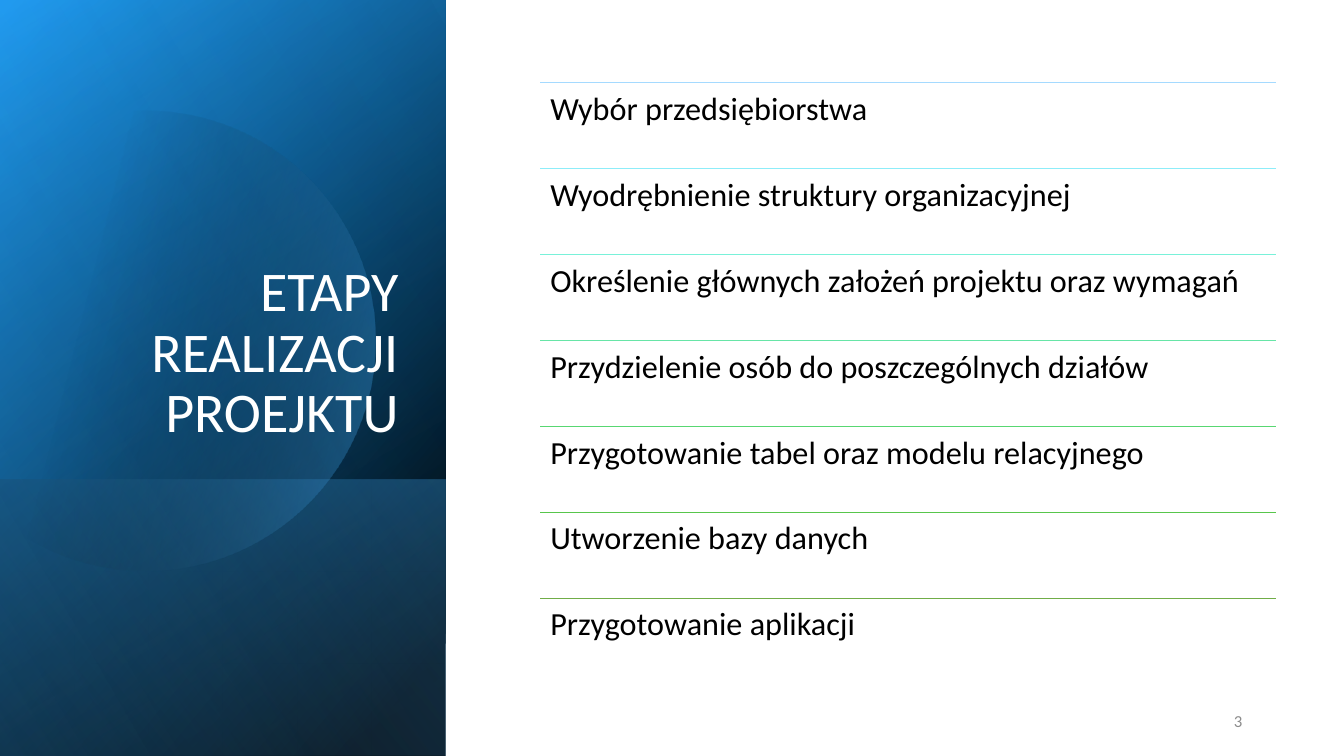
from math import cos, radians, sin

from lxml import etree
from pptx import Presentation
from pptx import util as u
from pptx.dml.color import RGBColor
from pptx.enum import shapes, text
from pptx.oxml.ns import qn


def tint(code):
    return RGBColor.from_string(code)


class Deck:
    """Holds the style and the current slide, and draws each kind of element."""

    font = "Calibri"

    def __init__(self, wide, high):
        self.prs = Presentation()
        self.prs.slide_width = u.Inches(wide)
        self.prs.slide_height = u.Inches(high)
        self.slide = self.prs.slides.add_slide(self.prs.slide_layouts[6])

    def fade(self, shape, stops, angle):
        shape.shadow.inherit = False
        shape.line.fill.background()
        shape.fill.gradient()
        shape.fill.gradient_angle = 0
        grad = shape._element.spPr.find(qn("a:gradFill"))
        grad.set("rotWithShape", "1")
        grad.find(qn("a:lin")).set("ang", str(angle * 60000))
        items = grad.find(qn("a:gsLst"))
        for old in list(items):
            items.remove(old)
        for pos, code, alpha in stops:
            stop = etree.SubElement(items, qn("a:gs"), pos=str(pos * 1000))
            color = etree.SubElement(stop, qn("a:srgbClr"), val=code)
            etree.SubElement(color, qn("a:alpha"), val=str(alpha * 1000))

    def panel(self, box, stops, angle):
        shape = self.slide.shapes.add_shape(
            shapes.MSO_SHAPE.RECTANGLE, *map(u.Inches, box))
        shape.rotation = 90
        shape._element.spPr.find(qn("a:xfrm")).set("flipH", "1")
        self.fade(shape, stops, angle)

    def disc(self, x, y, radius, cut, stops, angle):
        turns = [radians(cut * i / 40) for i in range(-40, 41)]
        dots = [(u.Inches(x + radius * cos(t)), u.Inches(y + radius * sin(t)))
                for t in turns]
        path = self.slide.shapes.build_freeform(*dots[0])
        path.add_line_segments(dots[1:], close=True)
        self.fade(path.convert_to_shape(), stops, angle)

    def rule(self, left, right, y, code):
        line = self.slide.shapes.add_connector(
            shapes.MSO_CONNECTOR.STRAIGHT,
            *map(u.Inches, (left, y, right, y)))
        line.line.color.rgb = tint(code)
        line.line.width = u.Pt(0.5)
        etree.SubElement(line._element.spPr, qn("a:effectLst"))

    def label(self, box, words, size, code, align="LEFT", anchor="TOP",
              inset=(0.1, 0.05), space=0.9):
        frame = self.slide.shapes.add_textbox(*map(u.Inches, box)).text_frame
        frame.word_wrap = True
        frame.vertical_anchor = text.MSO_ANCHOR[anchor]
        frame.margin_left = frame.margin_right = u.Inches(inset[0])
        frame.margin_top = frame.margin_bottom = u.Inches(inset[1])
        para = frame.paragraphs[0]
        para.alignment = text.PP_ALIGN[align]
        para.line_spacing = space
        run = para.add_run()
        run.text = words
        run.font.name = self.font
        run.font.size = u.Pt(size)
        run.font.color.rgb = tint(code)


STEPS = [
    ("Wybór przedsiębiorstwa", "A5DAFF"),
    ("Wyodrębnienie struktury organizacyjnej", "8DEDF9"),
    ("Określenie głównych założeń projektu oraz wymagań", "79F1D9"),
    ("Przydzielenie osób do poszczególnych działów", "67E5A7"),
    ("Przygotowanie tabel oraz modelu relacyjnego", "58D772"),
    ("Utworzenie bazy danych", "58C64C"),
    ("Przygotowanie aplikacji", "70AD47"),
]


def main():
    deck = Deck(13.33, 7.5)
    side = (-1.54, 1.54, 7.5, 4.42)
    deck.panel(side, [(8, "000000", 100), (100, "008FF1", 100)], 50)
    deck.panel(side, [(0, "000000", 0), (99, "42B2FF", 46)], 30)
    deck.panel((0.84, 3.92, 2.74, 4.42),
               [(2, "42B2FF", 29), (100, "000000", 30)], 130)
    deck.disc(1.44, 3.38, 2.28, 134,
              [(29, "000000", 0), (100, "42B2FF", 43)], 14)
    deck.panel(side, [(0, "000000", 0), (99, "8ED1FF", 11)], 120)
    deck.label((0.64, 1.84, 3.41, 2.62), "ETAPY REALIZACJI PROEJKTU", 40,
               "FFFFFF", "RIGHT", "BOTTOM")

    left, right, top, pitch = 5.36, 12.66, 0.82, 0.852
    for i, (words, code) in enumerate(STEPS):
        y = top + i * pitch
        deck.rule(left, right, y, code)
        deck.label((left, y, right - left, pitch), words, 23, "000000",
                   inset=(0.1, 0.1))

    deck.label((9.42, 6.95, 3, 0.4), "3", 12, "8C8C8C", "RIGHT", "MIDDLE",
               space=1.0)
    deck.prs.save("out.pptx")


if __name__ == "__main__":
    main()
